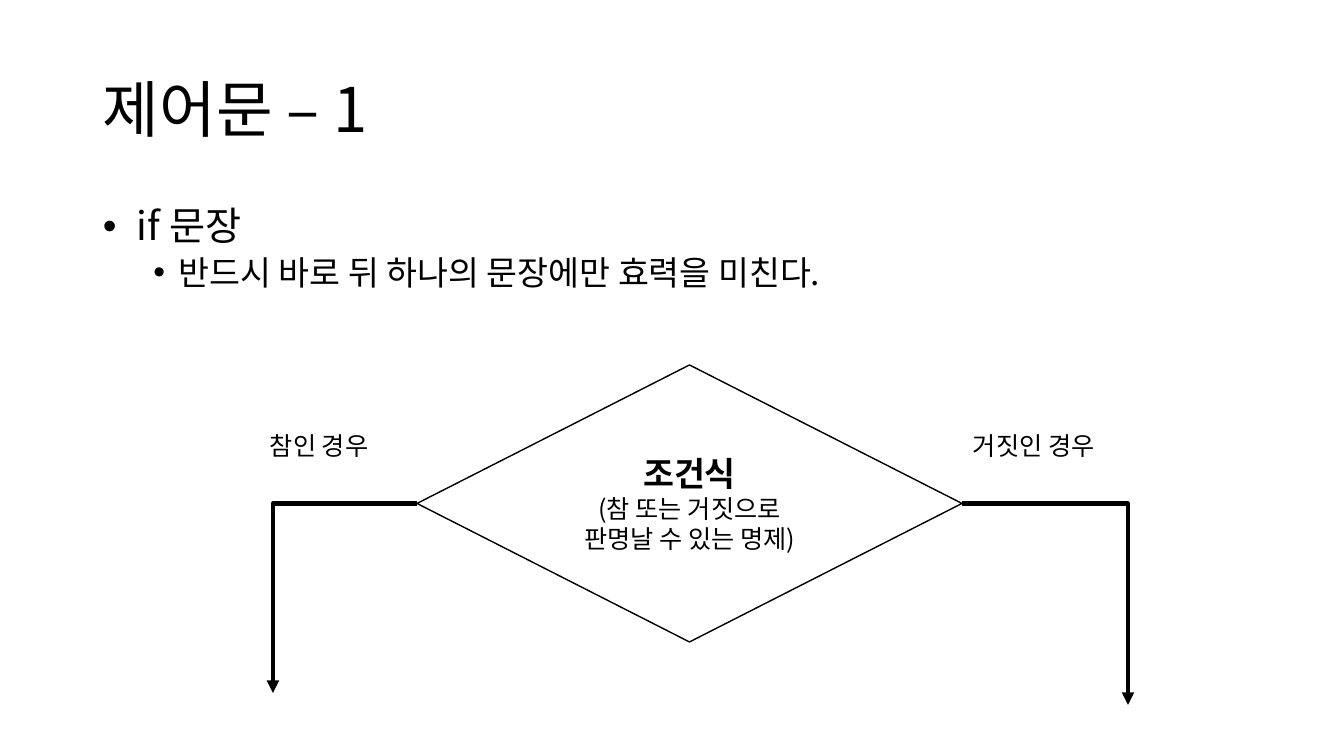
import pptx
import pptx.util
import pptx.dml.color
import pptx.enum.shapes
import pptx.enum.text
import pptx.oxml.ns
import lxml.etree

BLACK = pptx.dml.color.RGBColor(0x00, 0x00, 0x00)
WHITE = pptx.dml.color.RGBColor(0xFF, 0xFF, 0xFF)
FONT = "Noto Sans CJK KR"
PIXELS_PER_INCH = 100.8
LEFT_CORNER, RIGHT_CORNER = 1, 3  # connection sites of the decision
qn = pptx.oxml.ns.qn


def px(pixels):
    return pptx.util.Emu(round(pixels * 914400 / PIXELS_PER_INCH))


def format_runs(paragraph, size, bold=False):
    for run in paragraph.runs:
        run.font.size = pptx.util.Pt(size)
        run.font.bold = bold
        run.font.color.rgb = BLACK
        run.font.name = FONT
        east_asian = lxml.etree.Element(qn("a:ea"), typeface=FONT)
        run.font._element.find(qn("a:latin")).addnext(east_asian)


def fill_text(frame, lines):
    """Write one paragraph for each (text, size, bold) line."""
    frame.text = "\n".join(text for text, _, _ in lines)
    for paragraph, (_, size, bold) in zip(frame.paragraphs, lines):
        format_runs(paragraph, size, bold)


def add_text(slide, box, lines, wrap=True):
    frame = slide.shapes.add_textbox(*map(px, box)).text_frame
    frame.word_wrap = wrap
    fill_text(frame, lines)
    return frame


def set_bullet(paragraph, indent, space_before):
    paragraph.line_spacing = 0.9
    paragraph.space_before = pptx.util.Pt(space_before)
    properties = paragraph._p.get_or_add_pPr()
    properties.set("marL", str(pptx.util.Inches(indent)))
    properties.set("indent", str(pptx.util.Inches(-0.25)))
    lxml.etree.SubElement(properties, qn("a:buFont"), typeface="Arial")
    lxml.etree.SubElement(properties, qn("a:buChar"), char="•")


def add_decision(slide, box, lines):
    decision = slide.shapes.add_shape(
        pptx.enum.shapes.MSO_SHAPE.FLOWCHART_DECISION, *map(px, box))
    decision.shadow.inherit = False
    decision.fill.solid()
    decision.fill.fore_color.rgb = WHITE
    decision.line.color.rgb = BLACK
    decision.line.width = pptx.util.Pt(1)
    frame = decision.text_frame
    frame.word_wrap = True
    frame.vertical_anchor = pptx.enum.text.MSO_ANCHOR.MIDDLE
    fill_text(frame, lines)
    for paragraph in frame.paragraphs:
        paragraph.alignment = pptx.enum.text.PP_ALIGN.CENTER
    return decision


def add_branch(slide, decision, corner, end_x, end_y):
    """Draw a one-bend arrow from a corner of the decision."""
    branch = slide.shapes.add_connector(
        pptx.enum.shapes.MSO_CONNECTOR.ELBOW, 0, 0, px(end_x), px(end_y))
    branch.begin_connect(decision, corner)
    branch.line.color.rgb = BLACK
    branch.line.width = pptx.util.Pt(3)
    properties = branch._element.spPr
    properties.find(qn("a:prstGeom")).set("prst", "bentConnector2")
    lxml.etree.SubElement(properties.find(qn("a:ln")), qn("a:tailEnd"),
                          type="triangle")
    lxml.etree.SubElement(properties, qn("a:effectLst"))


def main():
    presentation = pptx.Presentation()
    presentation.slide_width = px(1344)
    presentation.slide_height = px(756)
    slide = presentation.slides.add_slide(presentation.slide_layouts[6])

    # Title
    title = add_text(slide, (93, 40, 1159, 146), [("제어문 – 1", 44, False)])
    title.vertical_anchor = pptx.enum.text.MSO_ANCHOR.MIDDLE
    title.paragraphs[0].line_spacing = 0.9

    # Explanation
    explanation = add_text(slide, (93, 202, 1159, 134), [
        (" if 문장", 28, False),
        ("반드시 바로 뒤 하나의 문장에만 효력을 미친다.", 24, False)])
    statement, effect = explanation.paragraphs
    effect.level = 1
    set_bullet(statement, 0.25, 10)
    set_bullet(effect, 0.75, 5)

    # Condition and its two branches
    condition = add_decision(slide, (417, 365, 545, 277), [
        ("조건식", 24, True),
        ("(참 또는 거짓으로 판명날 수 있는 명제)", 18, False)])
    add_branch(slide, condition, LEFT_CORNER, 273, 693)
    add_branch(slide, condition, RIGHT_CORNER, 1128, 705)

    # Branch labels
    for label, left, width in (("참인 경우", 260, 131),
                               ("거짓인 경우", 963, 156)):
        frame = add_text(slide, (left, 425, width, 40),
                         [(label, 18, False)], wrap=False)
        frame.auto_size = pptx.enum.text.MSO_AUTO_SIZE.SHAPE_TO_FIT_TEXT

    presentation.save("out.pptx")


main()
